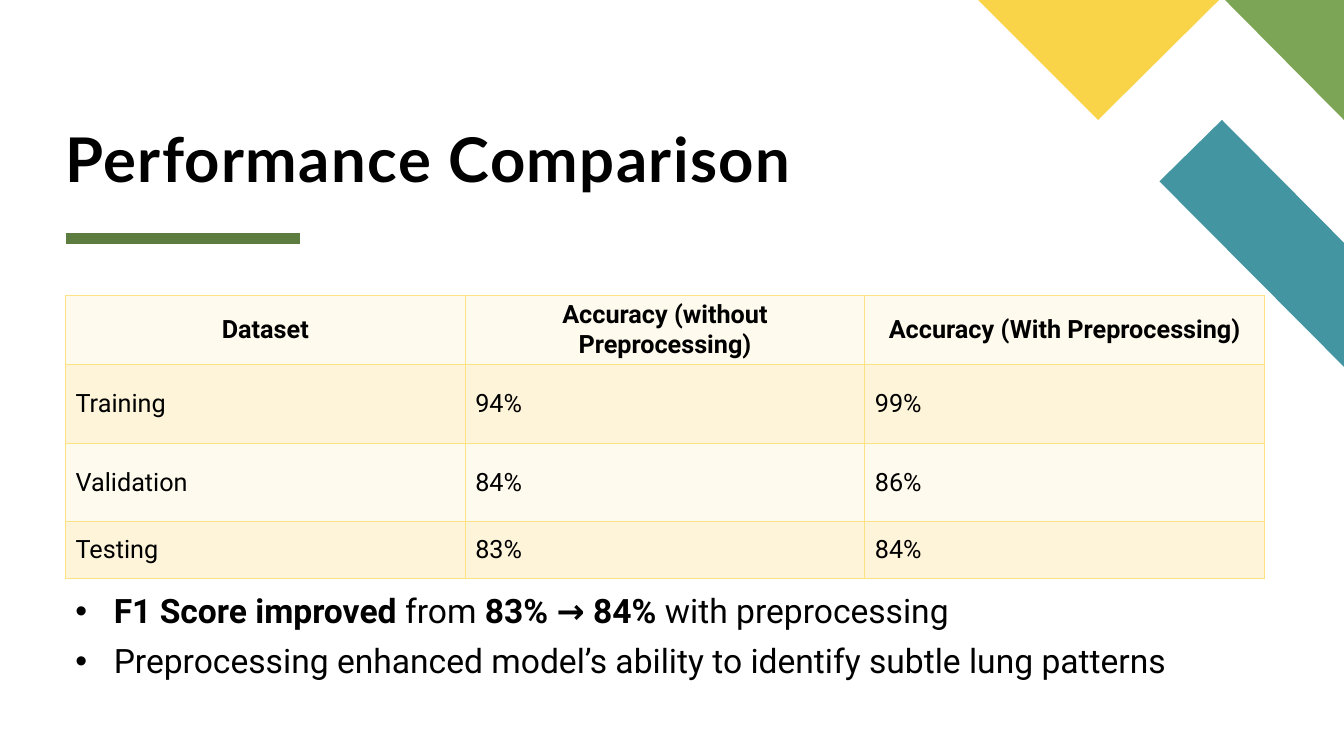
from lxml import etree
from pptx import Presentation
from pptx import util as u
from pptx.dml.color import RGBColor
from pptx.enum import shapes, text
from pptx.oxml import ns

HUES = {
    "ink": "000000", "teal": "4495A2", "green": "7CA655", "gold": "F9D448",
    "rule": "5D7D40", "edge": "FBE284", "pale": "FEFAED", "cream": "FDF4D9",
}
LEFT, WIDE = 4.88, 89.2  # shared margin and content width


class Deck:
    """Style and current slide; lengths are percent of the slide's size."""

    def __init__(self):
        self.prs = Presentation()
        self.prs.slide_width = u.Inches(13.33)
        self.prs.slide_height = u.Inches(7.5)
        self.slide = self.prs.slides.add_slide(self.prs.slide_layouts[5])

    def hue(self, name):
        return RGBColor.from_string(HUES[name])

    def x(self, share):
        return u.Emu(round(self.prs.slide_width * share / 100))

    def y(self, share):
        return u.Emu(round(self.prs.slide_height * share / 100))

    def box(self, left, top, wide, high):
        return self.x(left), self.y(top), self.x(wide), self.y(high)

    def run(self, par, words, size, bold=False, face="Roboto"):
        run = par.add_run()
        run.text = words
        font = run.font
        font.name, font.size, font.bold = face, u.Pt(size), bold
        font.color.rgb = self.hue("ink")
        return run

    def title(self, words, *box):
        shape = self.slide.shapes.title
        shape.left, shape.top, shape.width, shape.height = self.box(*box)
        frame = shape.text_frame
        frame.word_wrap = True
        frame.auto_size = text.MSO_AUTO_SIZE.NONE
        frame.vertical_anchor = text.MSO_ANCHOR.BOTTOM
        frame.margin_left = frame.margin_right = 0
        frame.margin_top = frame.margin_bottom = 0
        par = frame.paragraphs[0]
        par.alignment, par.line_spacing = text.PP_ALIGN.LEFT, 0.8
        run = self.run(par, words, 44, True, "Lato")
        run._r.get_or_add_rPr().set("spc", "100")

    def facet(self, hue, *points):
        spots = [(self.x(a), self.y(b)) for a, b in points]
        pen = self.slide.shapes.build_freeform(*spots[0])
        pen.add_line_segments(spots[1:], close=True)
        shape = pen.convert_to_shape()
        shape.shadow.inherit = False
        shape.fill.solid()
        shape.fill.fore_color.rgb = self.hue(hue)
        shape.line.fill.background()

    def rule(self, left, right, top, width):
        line = self.slide.shapes.add_connector(
            shapes.MSO_CONNECTOR.STRAIGHT,
            self.x(left), self.y(top), self.x(right), self.y(top))
        line.line.color.rgb = self.hue("rule")
        line.line.width = u.Pt(width)
        etree.SubElement(line._element.spPr, ns.qn("a:effectLst"))

    def edges(self, cell):
        props = cell._tc.get_or_add_tcPr()
        for side in ("lnL", "lnR", "lnT", "lnB"):
            line = etree.SubElement(props, ns.qn("a:" + side), w=str(u.Pt(1)))
            fill = etree.SubElement(line, ns.qn("a:solidFill"))
            etree.SubElement(fill, ns.qn("a:srgbClr"), val=HUES["edge"])

    def table(self, rows, highs, left, top, wide):
        grid = self.slide.shapes.add_table(
            len(rows), len(rows[0]),
            *self.box(left, top, wide, sum(highs))).table
        grid.horz_banding = False
        for r, (row, high) in enumerate(zip(rows, highs)):
            grid.rows[r].height = self.y(high)
            for c, words in enumerate(row):
                cell = grid.cell(r, c)
                self.edges(cell)
                cell.fill.solid()
                cell.fill.fore_color.rgb = self.hue("cream" if r % 2 else "pale")
                cell.vertical_anchor = text.MSO_ANCHOR.MIDDLE
                par = cell.text_frame.paragraphs[0]
                par.alignment = text.PP_ALIGN.LEFT if r else text.PP_ALIGN.CENTER
                self.run(par, words, 18, r == 0)

    def bullets(self, items, *box):
        frame = self.slide.shapes.add_textbox(*self.box(*box)).text_frame
        frame.word_wrap = True
        for i, item in enumerate(items):
            par = frame.add_paragraph() if i else frame.paragraphs[0]
            par.alignment = text.PP_ALIGN.JUSTIFY
            par.line_spacing, par.space_before = 0.9, u.Pt(10)
            props = par._p.get_or_add_pPr()
            props.set("marL", str(u.Inches(0.38)))
            props.set("indent", str(u.Inches(-0.38)))
            etree.SubElement(props, ns.qn("a:buFont"), typeface="Arial")
            etree.SubElement(props, ns.qn("a:buChar"), char="•")
            for words, bold in item:
                self.run(par, words, 24, bold)


def main():
    deck = Deck()

    # Corner facets
    deck.facet("teal", (100, 48.53), (100, 32.13), (90.92, 15.87), (86.27, 24))
    deck.facet("green", (100, 15.87), (100, 0), (91.15, 0))
    deck.facet("gold", (72.77, 0), (81.7, 15.87), (90.7, 0))

    # Heading and its rule
    deck.title("Performance Comparison", LEFT, 4, 80.2, 21.73)
    deck.rule(LEFT, 22.36, 31.6, 8)

    # Accuracy table
    deck.table([
        ("Dataset", "Accuracy (without Preprocessing)",
         "Accuracy (With Preprocessing)"),
        ("Training", "94%", "99%"),
        ("Validation", "84%", "86%"),
        ("Testing", "83%", "84%"),
    ], (7.47, 10.4, 10.4, 7.47), LEFT, 39.07, WIDE)

    # Findings
    deck.bullets([
        [("F1 Score improved", True), (" from ", False),
         ("83% → 84%", True), (" with preprocessing", False)],
        [("Preprocessing enhanced model’s ability to identify "
          "subtle lung patterns", False)],
    ], LEFT, 78, WIDE, 17.33)

    deck.prs.save("out.pptx")


if __name__ == "__main__":
    main()
